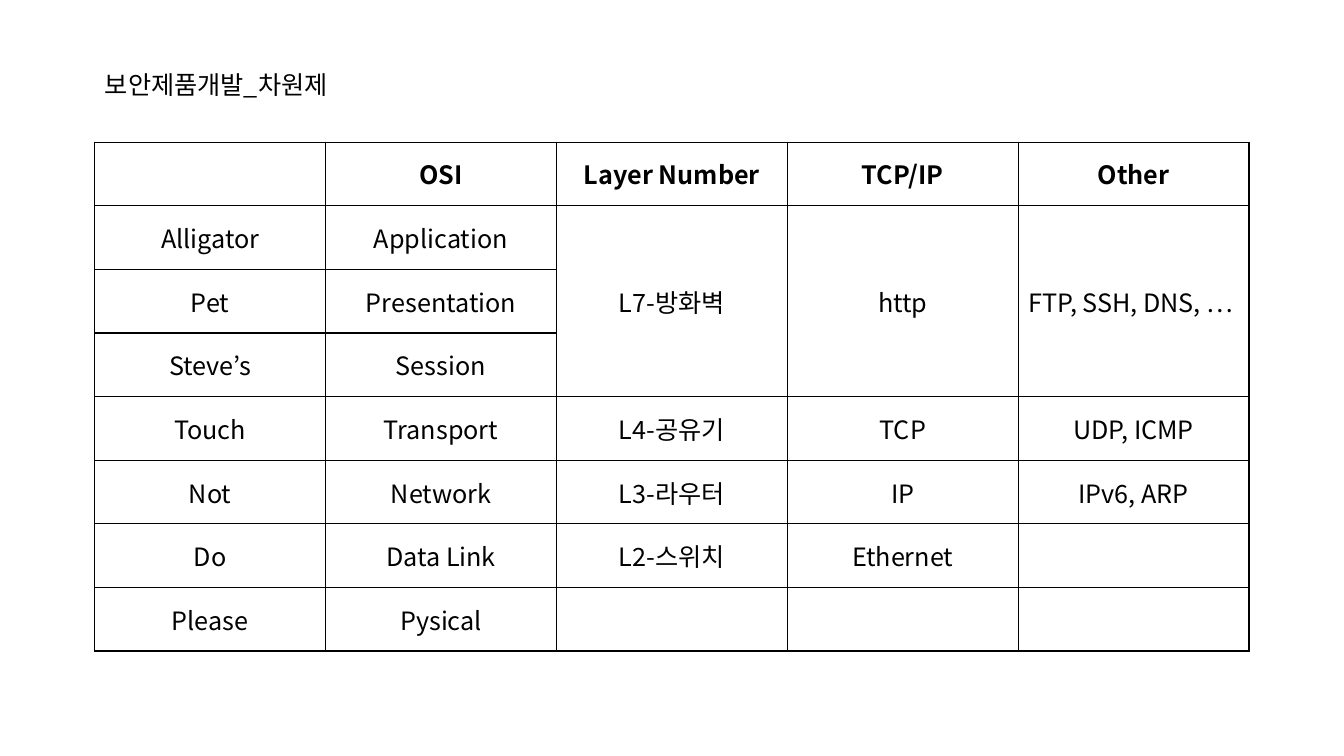
from lxml import etree
from pptx import Presentation
from pptx import util as u
from pptx.dml.color import RGBColor
from pptx.enum import text
from pptx.oxml.ns import qn

COLORS = {"ink": "000000", "line": "000000"}
FONT = "Noto Sans CJK KR"
LEFT = 67.7
ROWS = [
    ["", "OSI", "Layer Number", "TCP/IP", "Other"],
    ["Alligator", "Application", "L7-방화벽", "http", "FTP, SSH, DNS, … "],
    ["Pet", "Presentation", "", "", ""],
    ["Steve’s", "Session", "", "", ""],
    ["Touch", "Transport", "L4-공유기", "TCP", "UDP, ICMP"],
    ["Not", "Network", "L3-라우터", "IP", "IPv6, ARP"],
    ["Do", "Data Link", "L2-스위치", "Ethernet", ""],
    ["Please", "Pysical", "", "", ""],
]
APPLICATION_ROWS = (1, 3)
MERGED_COLUMNS = (2, 3, 4)


class LayerSlide:
    """Builds the network layer slide in one consistent style."""

    def __init__(self, presentation):
        self.slide = presentation.slides.add_slide(presentation.slide_layouts[5])
        self.font = {"name": FONT, "size": u.Pt(18)}

    def add_words(self, paragraph, words, align, bold=False):
        paragraph.alignment = align
        run = paragraph.add_run()
        run.text = words
        for name, value in {**self.font, "bold": bold}.items():
            setattr(run.font, name, value)
        run.font.color.rgb = RGBColor.from_string(COLORS["ink"])
        east_asian = etree.SubElement(run._r.get_or_add_rPr(), qn("a:ea"))
        east_asian.set("typeface", FONT)

    def title(self, words, left, top, width, height):
        shape = self.slide.shapes.title
        box = {"left": left, "top": top, "width": width, "height": height}
        for name, value in box.items():
            setattr(shape, name, u.Pt(value))
        frame = shape.text_frame
        style = {
            "word_wrap": False,
            "auto_size": text.MSO_AUTO_SIZE.NONE,
            "vertical_anchor": text.MSO_ANCHOR.TOP,
        }
        for name, value in style.items():
            setattr(frame, name, value)
        self.add_words(frame.paragraphs[0], words, text.PP_ALIGN.LEFT)

    def border(self, cell):
        properties = cell._tc.get_or_add_tcPr()
        for position, side in enumerate(("lnL", "lnR", "lnT", "lnB")):
            line = etree.Element(qn(f"a:{side}"), w=str(u.Pt(1)))
            fill = etree.SubElement(line, qn("a:solidFill"))
            etree.SubElement(fill, qn("a:srgbClr"), val=COLORS["line"])
            properties.insert(position, line)

    def table(self, rows, left, top, column_width, row_height):
        width, height = column_width * len(rows[0]), row_height * len(rows)
        table = self.slide.shapes.add_table(
            len(rows), len(rows[0]), *map(u.Pt, (left, top, width, height))
        ).table
        table.first_row = table.horz_banding = False
        for column in table.columns:
            column.width = u.Pt(column_width)
        for row_index, words_in_row in enumerate(rows):
            table.rows[row_index].height = u.Pt(row_height)
            for column_index, words in enumerate(words_in_row):
                cell = table.cell(row_index, column_index)
                cell.vertical_anchor = text.MSO_ANCHOR.MIDDLE
                cell.fill.background()
                self.border(cell)
                if words:
                    paragraph = cell.text_frame.paragraphs[0]
                    self.add_words(paragraph, words, text.PP_ALIGN.CENTER, row_index == 0)
        return table


def main():
    presentation = Presentation()
    presentation.slide_width, presentation.slide_height = u.Pt(960), u.Pt(540)
    layers = LayerSlide(presentation)
    layers.title("보안제품개발_차원제", LEFT, 46, 186, 29)
    table = layers.table(ROWS, LEFT, 101.5, 164.9, 45.45)
    first, last = APPLICATION_ROWS
    for column in MERGED_COLUMNS:
        table.cell(first, column).merge(table.cell(last, column))
    presentation.save("out.pptx")


if __name__ == "__main__":
    main()
